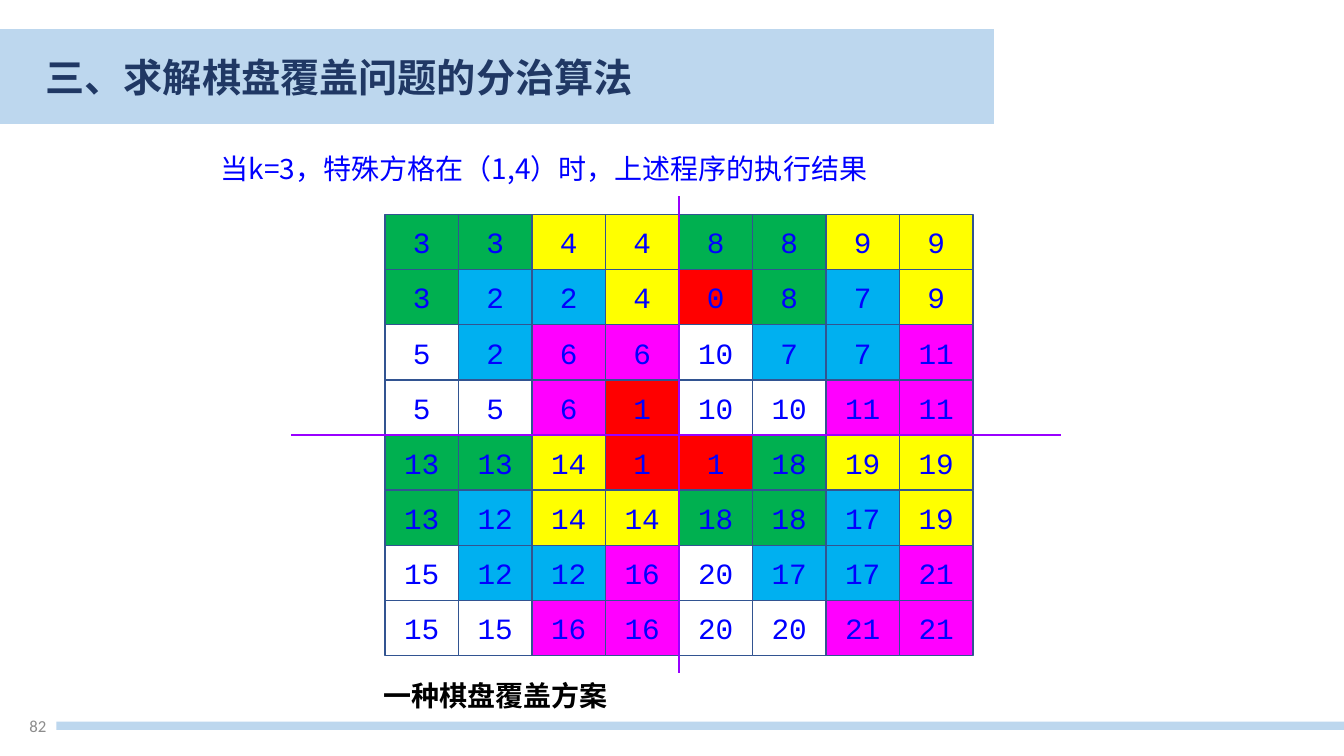
import pptx
import pptx.dml.color
import pptx.enum.shapes
import pptx.enum.text
import pptx.oxml
import pptx.oxml.ns
import pptx.util
from lxml import etree

Pt = pptx.util.Pt
RGBColor = pptx.dml.color.RGBColor
SHAPE = pptx.enum.shapes.MSO_SHAPE
ALIGN = pptx.enum.text.PP_ALIGN
ANCHOR = pptx.enum.text.MSO_ANCHOR

PALE_BLUE = RGBColor(0xBD, 0xD7, 0xEE)
NAVY = RGBColor(0x20, 0x38, 0x64)
GRAY = RGBColor(0x8C, 0x8C, 0x8C)
BLUE = RGBColor(0x00, 0x00, 0xFF)
BLACK = RGBColor(0x00, 0x00, 0x00)
GRID = RGBColor(0x32, 0x54, 0x91)
VIOLET = RGBColor(0x99, 0x00, 0xFF)
RED = RGBColor(0xFF, 0x00, 0x00)
WHITE = RGBColor(0xFF, 0xFF, 0xFF)
MAGENTA = RGBColor(0xFF, 0x00, 0xFF)
SKY = RGBColor(0x00, 0xB0, 0xF0)
GREEN = RGBColor(0x00, 0xB0, 0x50)
YELLOW = RGBColor(0xFF, 0xFF, 0x00)

# Tile colours repeat every five numbers
TILE_COLORS = [WHITE, MAGENTA, SKY, GREEN, YELLOW]
BOARD = [
    [3, 3, 4, 4, 8, 8, 9, 9],
    [3, 2, 2, 4, 0, 8, 7, 9],
    [5, 2, 6, 6, 10, 7, 7, 11],
    [5, 5, 6, 1, 10, 10, 11, 11],
    [13, 13, 14, 1, 1, 18, 19, 19],
    [13, 12, 14, 14, 18, 18, 17, 19],
    [15, 12, 12, 16, 20, 17, 17, 21],
    [15, 15, 16, 16, 20, 20, 21, 21],
]

CJK = "Noto Sans CJK SC"
TITLE_FONT = {"name": CJK, "size": Pt(28), "bold": True}
LEAD_FONT = {"name": CJK, "size": Pt(20)}
CAPTION_FONT = {"name": "Times New Roman", "size": Pt(20), "bold": True}
CELL_FONT = {"name": "Courier New", "size": Pt(21)}
NUMBER_FONT = {"name": "Calibri", "size": Pt(12)}


def write(shape, text, font, color, align=ALIGN.LEFT, anchor=ANCHOR.MIDDLE):
    frame = shape.text_frame
    frame.word_wrap = True
    frame.vertical_anchor = anchor
    para = frame.paragraphs[0]
    para.alignment = align
    span = para.add_run()
    span.text = text
    for name, value in font.items():
        setattr(span.font, name, value)
    span.font.color.rgb = color
    if font["name"] == CJK:
        east_asian = etree.SubElement(span.font._element, pptx.oxml.ns.qn("a:ea"))
        east_asian.set("typeface", CJK)


def add_text(page, box, *text_format):
    shape = page.shapes.add_textbox(*map(Pt, box))
    write(shape, *text_format)


def add_rectangle(page, box, fill):
    shape = page.shapes.add_shape(SHAPE.RECTANGLE, *map(Pt, box))
    shape.shadow.inherit = False
    shape.fill.solid()
    shape.fill.fore_color.rgb = fill
    shape.line.fill.background()
    return shape


def add_line(page, *ends):
    line = page.shapes.add_connector(
        pptx.enum.shapes.MSO_CONNECTOR.STRAIGHT, *map(Pt, ends))
    line.line.color.rgb = VIOLET
    line.line.width = Pt(1)
    etree.SubElement(line._element.spPr, pptx.oxml.ns.qn("a:effectLst"))


def set_title(page, box, text):
    """Turn the title placeholder into a round-ended band."""
    title = page.shapes.title
    for name, value in zip(("left", "top", "width", "height"), box):
        setattr(title, name, Pt(value))
    title._element.spPr.append(pptx.oxml.parse_xml(
        '<a:prstGeom xmlns:a="http://schemas.openxmlformats.org/drawingml/2006/main"'
        ' prst="roundRect"><a:avLst><a:gd name="adj" fmla="val 50000"/></a:avLst>'
        '</a:prstGeom>'))
    title.fill.solid()
    title.fill.fore_color.rgb = PALE_BLUE
    frame = title.text_frame
    frame.auto_size = pptx.enum.text.MSO_AUTO_SIZE.NONE
    # The band starts left of the page; keep the rounded inset out of the text position
    frame.margin_left = Pt(85)
    write(title, text, TITLE_FONT, NAVY)


def add_board(page, box):
    left, top, width, height = box
    cell_width, cell_height = width / len(BOARD[0]), height / len(BOARD)
    for row, numbers in enumerate(BOARD):
        for column, number in enumerate(numbers):
            fill = RED if number < 2 else TILE_COLORS[number % 5]
            cell = add_rectangle(page, (left + column * cell_width,
                                        top + row * cell_height,
                                        cell_width, cell_height), fill)
            cell.line.color.rgb = GRID
            cell.line.width = Pt(1)
            write(cell, str(number), CELL_FONT, BLUE, ALIGN.CENTER)
    middle_x, middle_y = left + width / 2, top + height / 2
    add_line(page, left - 67, middle_y, left + width + 63, middle_y)
    add_line(page, middle_x, top - 13, middle_x, top + height + 12)


def add_footer(page, box):
    left, top, width, height = box
    number_width = 40.3
    add_rectangle(page, (left + number_width, top + 11.5,
                         width - number_width, 5.8), PALE_BLUE)
    add_text(page, (left, top, number_width, height), "82",
             NUMBER_FONT, GRAY, ALIGN.RIGHT)


def build_slide(deck):
    page = deck.slides.add_slide(deck.slide_layouts[5])
    set_title(page, (-52.5, 20.9, 762.5, 67.7), "三、求解棋盘覆盖问题的分治算法")
    add_footer(page, (0, 504, 960, 28.8))
    add_text(page, (150.5, 104.4, 586, 31.7),
             "当k=3，特殊方格在（1,4）时，上述程序的执行结果",
             LEAD_FONT, BLUE, ALIGN.LEFT, ANCHOR.TOP)
    add_text(page, (267, 481, 230.4, 31.7), "一种棋盘覆盖方案",
             CAPTION_FONT, BLACK, ALIGN.LEFT, ANCHOR.TOP)
    add_board(page, (275, 153.2, 420, 315.2))


def main():
    deck = pptx.Presentation()
    deck.slide_width, deck.slide_height = Pt(960), Pt(540)
    build_slide(deck)
    deck.save("out.pptx")


if __name__ == "__main__":
    main()
